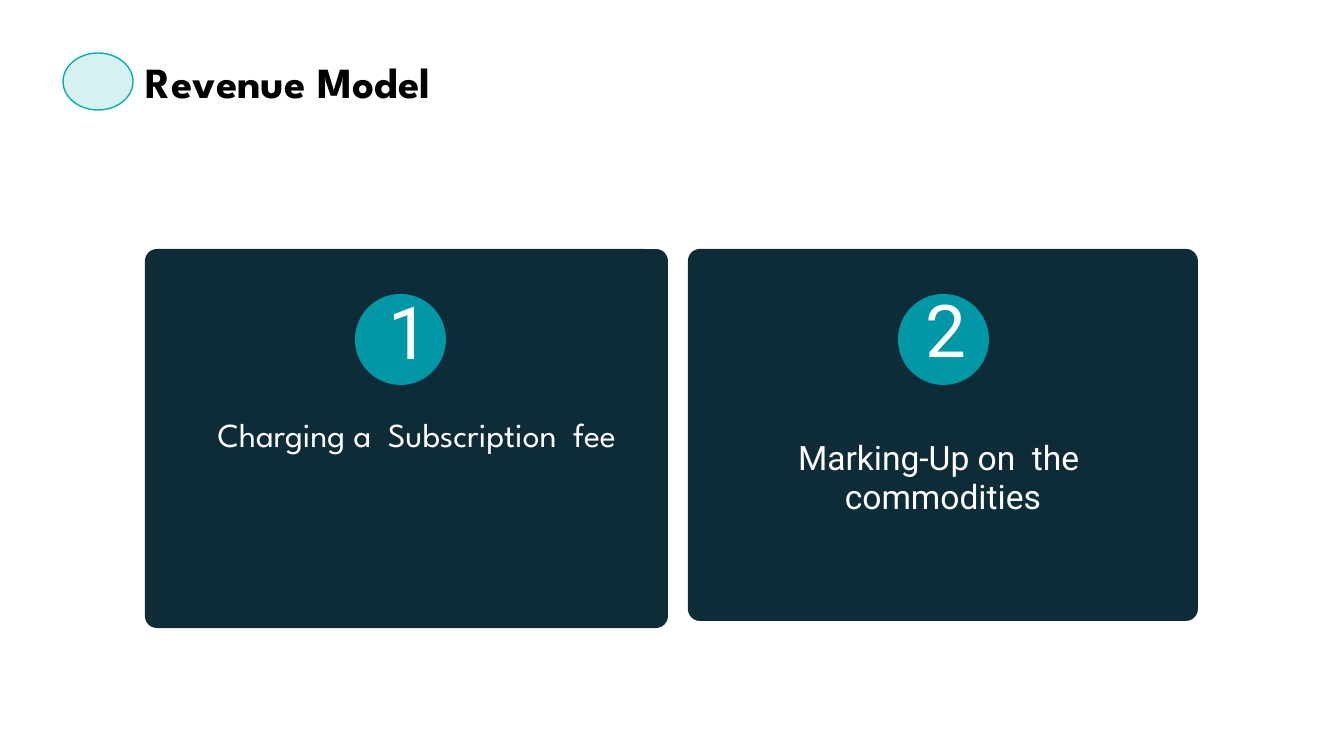
from dataclasses import dataclass

from lxml.etree import SubElement
from pptx import Presentation
from pptx.dml.color import RGBColor
from pptx.enum.shapes import MSO_SHAPE
from pptx.enum.text import MSO_ANCHOR, MSO_AUTO_SIZE, PP_ALIGN
from pptx.oxml.ns import qn
from pptx.util import Pt

TITLE = "Revenue Model"
CARDS = [
    {
        "number": "1",
        "label": "Charging a  Subscription  fee",
        "label_font": "League Spartan",
        "card": (145, 249, 523, 379),
        "badge_left": 355,
        "number_box": (388, 286, 24, 90),
        "label_box": (195, 399, 444, 97),
    },
    {
        "number": "2",
        "label": "Marking-Up on  the  commodities",
        "label_font": "Roboto",
        "card": (688, 249, 510, 372),
        "badge_left": 898,
        "number_box": (925, 284, 39, 90),
        "label_box": (726, 422, 434, 97),
    },
]
TITLE_BOX = (145, 55, 582, 54)
TITLE_MARKER = (63, 53, 70, 57)
BADGE_TOP = 294
BADGE_SIZE = 91
CORNER_RADIUS = 12
SLIDE_SIZE = (1344, 756)
EMU_PER_PX = 914400 / 134.4


@dataclass(frozen=True)
class Theme:
    card: str = "0E2C37"
    badge: str = "0097A7"
    marker: str = "06AFAA"
    marker_alpha: int = 17
    title: str = "000000"
    light: str = "FFFFFF"
    title_font: str = "League Spartan"
    number_font: str = "Roboto"
    title_size: int = 23
    number_size: int = 39
    label_size: int = 18


THEME = Theme()


def px(length):
    return round(length * EMU_PER_PX)


def scaled(box):
    return [px(length) for length in box]


def add_filled_shape(slide, kind, box, color):
    shape = slide.shapes.add_shape(kind, *scaled(box))
    shape.shadow.inherit = False
    shape.fill.solid()
    shape.fill.fore_color.rgb = RGBColor.from_string(color)
    shape.line.fill.background()
    return shape


def write_text(shape, text, font, size, color, top=1, left=1,
               align=PP_ALIGN.LEFT, spacing=1.0, bold=False):
    frame = shape.text_frame
    frame.text = text
    frame.word_wrap = True
    frame.auto_size = MSO_AUTO_SIZE.SHAPE_TO_FIT_TEXT
    frame.vertical_anchor = MSO_ANCHOR.TOP
    frame.margin_left, frame.margin_top = px(left), px(top)
    frame.margin_right = frame.margin_bottom = 0
    paragraph = frame.paragraphs[0]
    paragraph.alignment = align
    paragraph.line_spacing = spacing
    run_font = paragraph.runs[0].font
    run_font.name = font
    run_font.size = Pt(size)
    run_font.bold = bold
    run_font.color.rgb = RGBColor.from_string(color)


def add_title(slide):
    title = slide.shapes.title
    title.left, title.top, title.width, title.height = scaled(TITLE_BOX)
    write_text(title, TITLE, THEME.title_font, THEME.title_size, THEME.title, bold=True)


def add_title_marker(slide):
    marker = add_filled_shape(slide, MSO_SHAPE.OVAL, TITLE_MARKER, THEME.marker)
    fill_color = marker.fill._xPr.find(qn("a:solidFill"))[0]
    SubElement(fill_color, qn("a:alpha"), val=str(THEME.marker_alpha * 1000))
    marker.line.color.rgb = RGBColor.from_string(THEME.marker)
    marker.line.width = Pt(0.75)


def add_card(slide, item):
    card = add_filled_shape(slide, MSO_SHAPE.ROUNDED_RECTANGLE, item["card"], THEME.card)
    card.adjustments[0] = CORNER_RADIUS / min(item["card"][2:])
    badge_box = (item["badge_left"], BADGE_TOP, BADGE_SIZE, BADGE_SIZE)
    add_filled_shape(slide, MSO_SHAPE.OVAL, badge_box, THEME.badge)
    number = slide.shapes.add_textbox(*scaled(item["number_box"]))
    write_text(number, item["number"], THEME.number_font, THEME.number_size, THEME.light)
    label = slide.shapes.add_textbox(*scaled(item["label_box"]))
    write_text(label, item["label"], item["label_font"], THEME.label_size, THEME.light,
               top=17, left=0, align=PP_ALIGN.CENTER, spacing=0.97)


def main():
    presentation = Presentation()
    presentation.slide_width, presentation.slide_height = scaled(SLIDE_SIZE)
    slide = presentation.slides.add_slide(presentation.slide_layouts[5])
    add_title(slide)
    add_title_marker(slide)
    for item in CARDS:
        add_card(slide, item)
    presentation.save("out.pptx")


if __name__ == "__main__":
    main()
